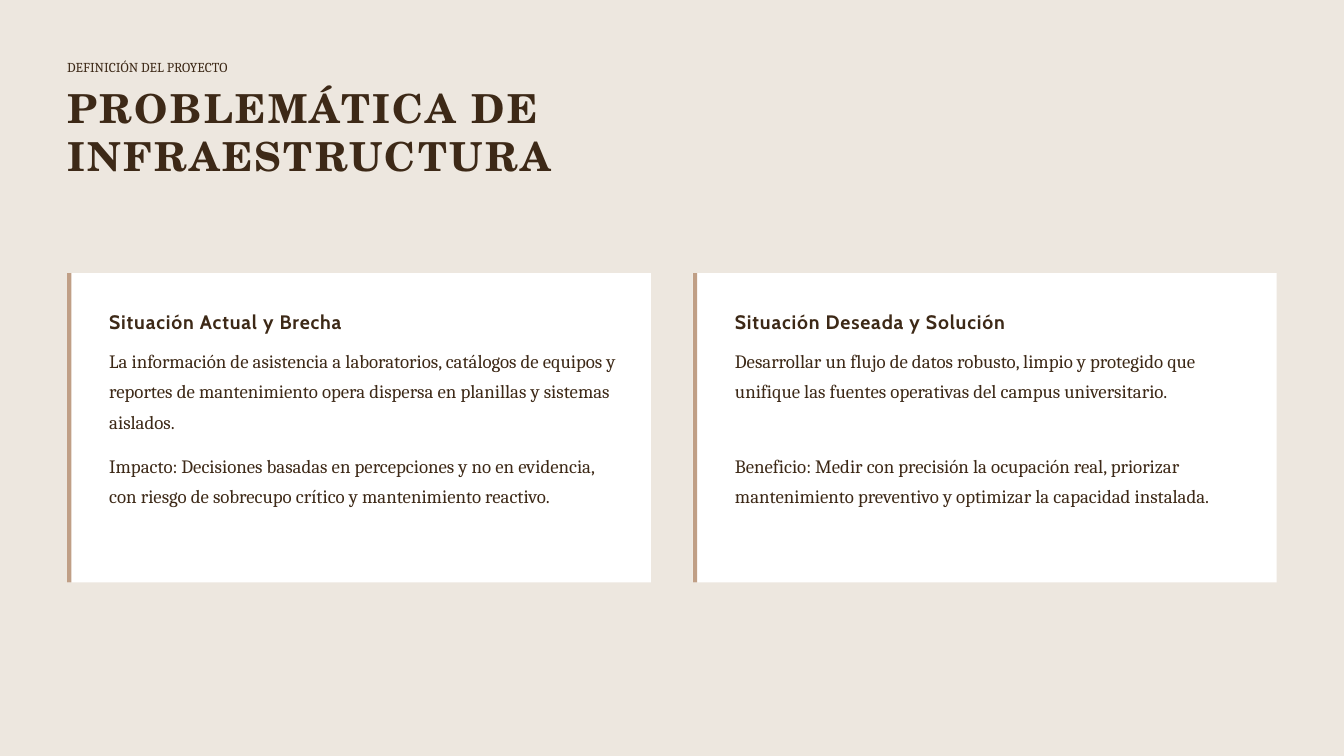
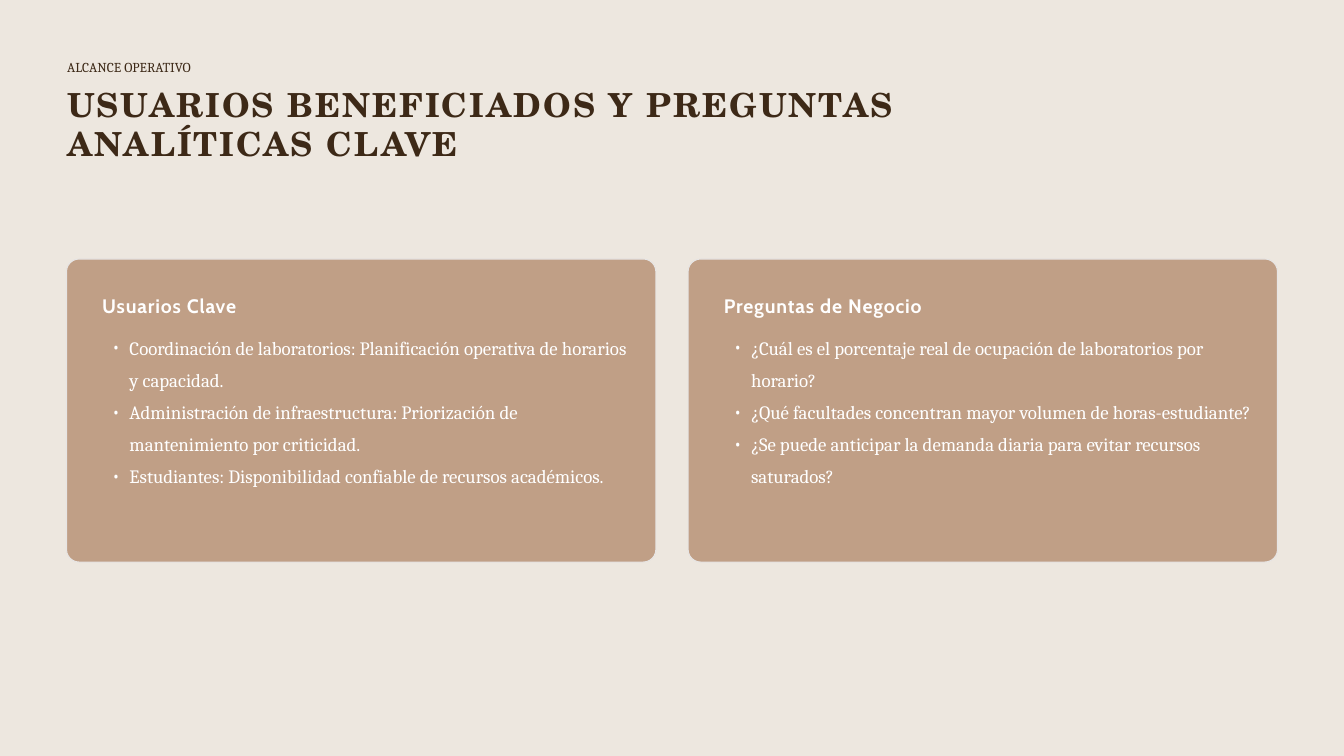
from lxml import etree
from pptx import Presentation
from pptx.dml.color import RGBColor
from pptx.enum.shapes import MSO_SHAPE
from pptx.enum.text import MSO_ANCHOR, MSO_AUTO_SIZE, PP_ALIGN
from pptx.oxml.ns import qn
from pptx.util import Pt

PX = 9525
RECT, ROUND = MSO_SHAPE.RECTANGLE, MSO_SHAPE.ROUNDED_RECTANGLE
TOP, LEFT, FIXED = MSO_ANCHOR.TOP, PP_ALIGN.LEFT, MSO_AUTO_SIZE.NONE
TITLE_ONLY, TWO_LISTS = 5, 3
HEX = {"page": "EDE7DF", "ink": "3D2917", "tan": "C09F86",
       "white": "FFFFFF", "edge": "E7E5E4"}
SERIF, SANS, DISPLAY = "Cambria", "Cabin", "TeX Gyre Schola"
MARGIN = 96

PROBLEM = [
    ("Situación Actual y Brecha",
     "La información de asistencia a laboratorios, catálogos de equipos y "
     "reportes de mantenimiento opera dispersa en planillas y sistemas aislados.",
     "Impacto: Decisiones basadas en percepciones y no en evidencia, "
     "con riesgo de sobrecupo crítico y mantenimiento reactivo."),
    ("Situación Deseada y Solución",
     "Desarrollar un flujo de datos robusto, limpio y protegido que "
     "unifique las fuentes operativas del campus universitario.",
     "Beneficio: Medir con precisión la ocupación real, priorizar "
     "mantenimiento preventivo y optimizar la capacidad instalada."),
]
SCOPE = [
    ("Usuarios Clave",
     ["Coordinación de laboratorios: Planificación operativa de horarios y capacidad.",
      "Administración de infraestructura: Priorización de mantenimiento por criticidad.",
      "Estudiantes: Disponibilidad confiable de recursos académicos."]),
    ("Preguntas de Negocio",
     ["¿Cuál es el porcentaje real de ocupación de laboratorios por horario?",
      "¿Qué facultades concentran mayor volumen de horas-estudiante?",
      "¿Se puede anticipar la demanda diaria para evitar recursos saturados?"]),
]


def color(name):
    return RGBColor.from_string(HEX[name])


def place(shape, box):
    shape.left, shape.top, shape.width, shape.height = (n * PX for n in box)


def bullet(par, indent):
    """Hang the paragraph behind a round bullet."""
    props = par._p.get_or_add_pPr()
    props.set("marL", str(indent * PX))
    props.set("indent", str(-indent * PX))
    etree.SubElement(props, qn("a:buFont")).set("typeface", SERIF)
    etree.SubElement(props, qn("a:buChar")).set("char", "•")


def write(slide, box, text, holder=None, font=SERIF, size=20.2, lead=32.4,
          ink="ink", bold=False, track=0, indent=0):
    """Write a string, or a list of paragraphs, in a holder or a new text box."""
    shape = holder or slide.shapes.add_textbox(0, 0, 0, 0)
    place(shape, box)
    frame = shape.text_frame
    frame.word_wrap, frame.auto_size, frame.vertical_anchor = True, FIXED, TOP
    frame.margin_left = frame.margin_top = 0
    frame.margin_right = frame.margin_bottom = 0
    for i, line in enumerate([text] if isinstance(text, str) else text):
        par = frame.add_paragraph() if i else frame.paragraphs[0]
        if indent:
            bullet(par, indent)
        par.alignment, par.line_spacing = LEFT, Pt(lead)
        par.space_before = Pt(0)
        run = par.add_run()
        run.text = line
        run.font.name, run.font.size, run.font.bold = font, Pt(size), bold
        run.font.color.rgb = color(ink)
        if track:
            run.font._element.set("spc", str(round(track * 100)))


def panel(slide, box, fill, kind=RECT, edge=None, radius=0):
    shape = slide.shapes.add_shape(kind, 0, 0, 0, 0)
    place(shape, box)
    shape.shadow.inherit = False
    shape.fill.solid()
    shape.fill.fore_color.rgb = color(fill)
    if edge:
        shape.line.color.rgb = color(edge)
        shape.line.width = Pt(1.13)
    else:
        shape.line.fill.background()
    if radius:
        shape.adjustments[0] = radius / min(box[2:])


def header(slide, label, title, width, size, lead, track):
    write(slide, (MARGIN, 84, 400, 23), label, size=14.6, lead=17.6)
    write(slide, (MARGIN, 120, width, 140), title, holder=slide.shapes.title,
          font=DISPLAY, size=size, lead=lead, bold=True, track=track)


def heading(slide, x, y, text, ink):
    write(slide, (x, y, 480, 34), text, font=SANS, size=20.9, lead=25.1,
          ink=ink, bold=True, track=0.9)


def barred(slide, box, head, state, effect):
    """White card with a tan bar on its left side."""
    x, y, _, h = box
    panel(slide, box, "white")
    panel(slide, (x, y, 6, h), "tan")
    heading(slide, x + 60, y + 53, head, "ink")
    for drop, text in ((99, state), (249, effect)):
        write(slide, (x + 60, y + drop, 735, 130), text)


def listed(slide, box, head, items, holder):
    """Tan rounded card with a bullet list."""
    x, y = box[:2]
    panel(slide, box, "tan", kind=ROUND, edge="edge", radius=18)
    heading(slide, x + 51, y + 50, head, "white")
    write(slide, (x + 65, y + 97, 741, 280), items, holder=holder,
          lead=34.4, ink="white", indent=25)
    slide.shapes._spTree.append(holder._element)


def problem(deck):
    slide = deck.slides.add_slide(deck.slide_layouts[TITLE_ONLY])
    header(slide, "DEFINICIÓN DEL PROYECTO", "PROBLEMÁTICA DE INFRAESTRUCTURA",
           width=1121, size=42.8, lead=51.3, track=2.6)
    for i, card in enumerate(PROBLEM):
        barred(slide, (MARGIN + i * 894, 390, 834, 442), *card)


def scope(deck):
    slide = deck.slides.add_slide(deck.slide_layouts[TWO_LISTS])
    header(slide, "ALCANCE OPERATIVO",
           "USUARIOS BENEFICIADOS Y PREGUNTAS ANALÍTICAS CLAVE",
           width=1416, size=35.5, lead=42.6, track=2.2)
    for i, (head, items) in enumerate(SCOPE):
        listed(slide, (95 + i * 888, 370, 842, 433), head, items,
               slide.placeholders[i + 1])


def main():
    deck = Presentation()
    deck.slide_width, deck.slide_height = 1920 * PX, 1080 * PX
    back = deck.slide_master.background.fill
    back.solid()
    back.fore_color.rgb = color("page")
    problem(deck)
    scope(deck)
    deck.save("out.pptx")


if __name__ == "__main__":
    main()
